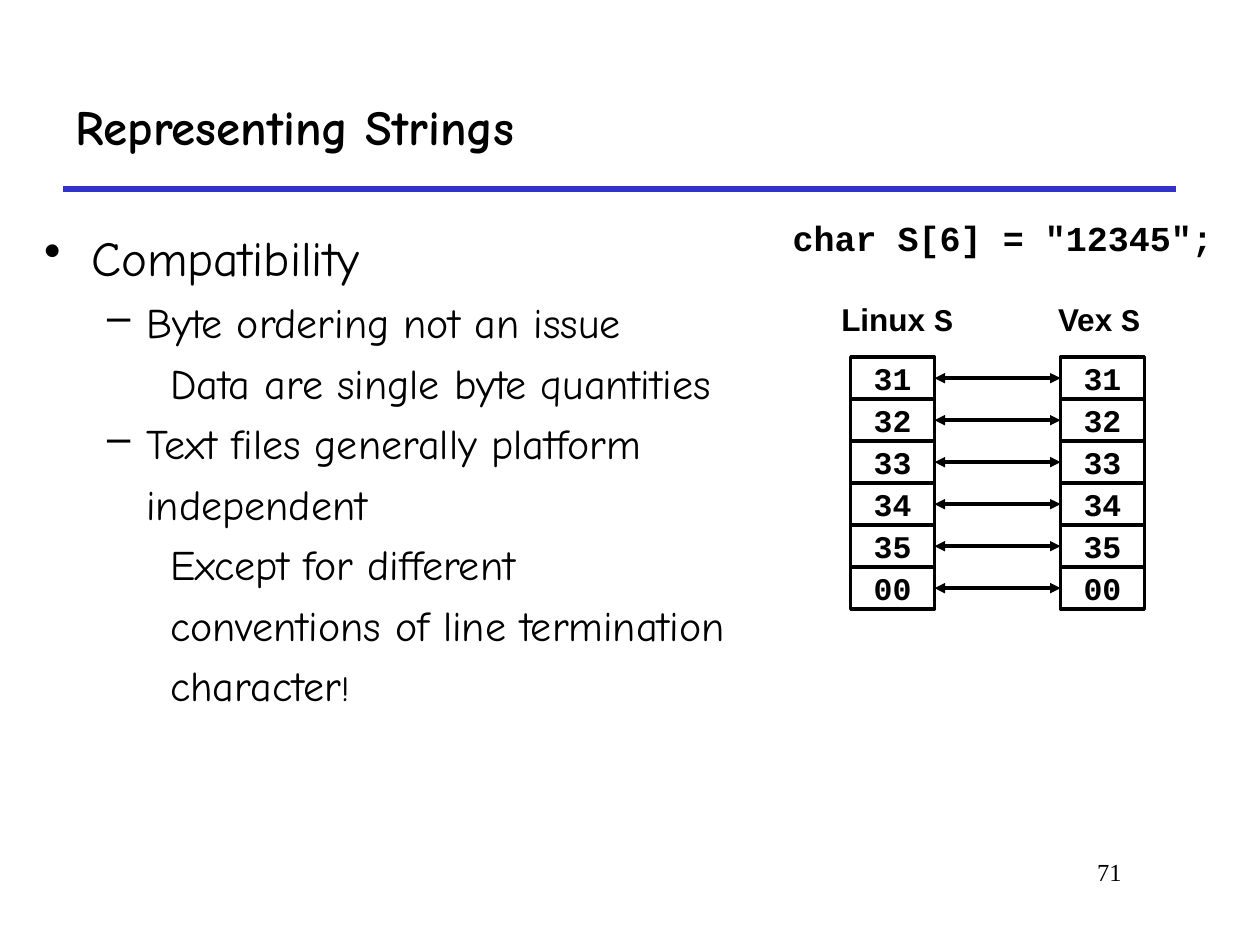
from lxml.etree import SubElement
from pptx import Presentation
from pptx.dml.color import RGBColor
from pptx.enum.shapes import MSO_CONNECTOR as Connector, MSO_SHAPE as Shape
from pptx.enum.text import MSO_ANCHOR as Anchor, PP_ALIGN as Align
from pptx.oxml.ns import qn
from pptx.util import Cm, Pt

COLORS = {"ink": "000000", "paper": "FFFFFF", "rule": "3333CC"}
HAND, MONO, SANS, SERIF = "Comic Neue", "Courier New", "Arial", "Times New Roman"

# Bytes of the string, one cell each
BYTES = ["31", "32", "33", "34", "35", "00"]
CELL_WIDTH, CELL_HEIGHT = Cm(1.69), Cm(5.08) // len(BYTES)
CELLS_TOP = Cm(7.2)
LINUX_LEFT, OTHER_LEFT = Cm(17.15), Cm(21.38)

# Outline: text, level, left margin, hanging indent, bullet
OUTLINE = [
    ("Compatibility", 0, Cm(0.95), Cm(0.95), "•"),
    ("Byte ordering not an issue", 1, Cm(2.06), Cm(0.79), "–"),
    ("Data are single byte quantities", 2, Cm(3.33), Cm(0.79), None),
    ("Text files generally platform independent", 1, Cm(2.06), Cm(0.79), "–"),
    ("Except for different", 2, Cm(3.18), Cm(0.64), None),
    ("conventions of line termination", 2, Cm(3.18), Cm(0.64), None),
    ("character", 2, Cm(3.18), Cm(0.64), None),
]


def color(name):
    return RGBColor.from_string(COLORS[name])


def write(paragraph, text, font=HAND, size=24, bold=False, align=None):
    """Append a formatted run to a paragraph."""
    run = paragraph.add_run()
    run.text = text
    run.font.name, run.font.size, run.font.bold = font, Pt(size), bold
    run.font.color.rgb = color("ink")
    if align is not None:
        paragraph.alignment = align


def add_box(slide, left, top, width, height, wrap=True, anchor=Anchor.TOP):
    frame = slide.shapes.add_textbox(left, top, width, height).text_frame
    frame.word_wrap, frame.vertical_anchor = wrap, anchor
    return frame


def set_bullet(paragraph, margin, hanging, bullet):
    properties = paragraph._p.get_or_add_pPr()
    properties.set("marL", str(margin))
    properties.set("indent", str(-hanging))
    if bullet:
        SubElement(properties, qn("a:buChar"), char=bullet)
    else:
        SubElement(properties, qn("a:buNone"))


def add_line(slide, start, end, ink, width):
    line = slide.shapes.add_connector(Connector.STRAIGHT, *start, *end)
    line.line.color.rgb, line.line.width = color(ink), Pt(width)
    SubElement(line._element.spPr, qn("a:effectLst"))
    return line


def add_link(slide, left_cell, right_cell):
    """Join two cells with a double-headed arrow."""
    link = add_line(slide, (0, 0), (0, 0), "ink", 2)
    link.begin_connect(left_cell, 3)
    link.end_connect(right_cell, 1)
    for end in ("a:headEnd", "a:tailEnd"):
        SubElement(link.line._get_or_add_ln(), qn(end), type="triangle")


def add_cell(slide, left, row, value):
    cell = slide.shapes.add_shape(
        Shape.RECTANGLE, left, CELLS_TOP + row * CELL_HEIGHT, CELL_WIDTH, CELL_HEIGHT)
    cell.shadow.inherit = False
    cell.fill.solid()
    cell.fill.fore_color.rgb = color("paper")
    cell.line.color.rgb, cell.line.width = color("ink"), Pt(2)
    frame = cell.text_frame
    frame.word_wrap, frame.vertical_anchor = False, Anchor.MIDDLE
    write(frame.paragraphs[0], value, font=MONO, size=18, bold=True, align=Align.CENTER)
    return cell


def add_column_label(slide, left, width, system):
    label = add_box(slide, left, Cm(5.93), width, Cm(1.02), wrap=False).paragraphs[0]
    write(label, system + " ", font=SANS, size=18, bold=True, align=Align.CENTER)
    write(label, "S", font=MONO, size=18, bold=True)


def add_outline(slide):
    frame = add_box(slide, Cm(0.64), Cm(4.23), Cm(16.09), Cm(12.49))
    for index, (text, level, margin, hanging, bullet) in enumerate(OUTLINE):
        paragraph = frame.add_paragraph() if index else frame.paragraphs[0]
        paragraph.level, paragraph.line_spacing = level, 1.2
        set_bullet(paragraph, margin, hanging, bullet)
        write(paragraph, text, size=24 if level else 28)
    write(paragraph, "!", size=20)


def main():
    deck = Presentation()
    deck.slide_width, deck.slide_height = Cm(25.4), Cm(19.05)
    slide = deck.slides.add_slide(deck.slide_layouts[6])

    # Title, rule and page number
    title = add_box(slide, Cm(1.27), Cm(1.27), Cm(22.43), Cm(2.54), anchor=Anchor.MIDDLE)
    write(title.paragraphs[0], "Representing Strings", size=28, bold=True)
    add_line(slide, (Cm(1.27), Cm(3.81)), (Cm(23.7), Cm(3.81)), "rule", 3)
    page = add_box(slide, Cm(19.26), Cm(17.15), Cm(3.6), Cm(1.27))
    write(page.paragraphs[0], "71", font=SERIF, size=14, align=Align.RIGHT)

    # Outline and declaration
    add_outline(slide)
    declaration = add_box(slide, Cm(14.4), Cm(4.23), Cm(11.64), Cm(1.48))
    write(declaration.paragraphs[0], 'char S[6] = "12345";',
          font=MONO, size=20, bold=True, align=Align.CENTER)

    # Byte columns of the two systems
    add_column_label(slide, Cm(16.69), Cm(2.79), "Linux")
    add_column_label(slide, Cm(21.01), Cm(2.29), "Vex")
    for row, value in enumerate(BYTES):
        add_link(slide, add_cell(slide, LINUX_LEFT, row, value),
                 add_cell(slide, OTHER_LEFT, row, value))

    deck.save("out.pptx")


if __name__ == "__main__":
    main()
